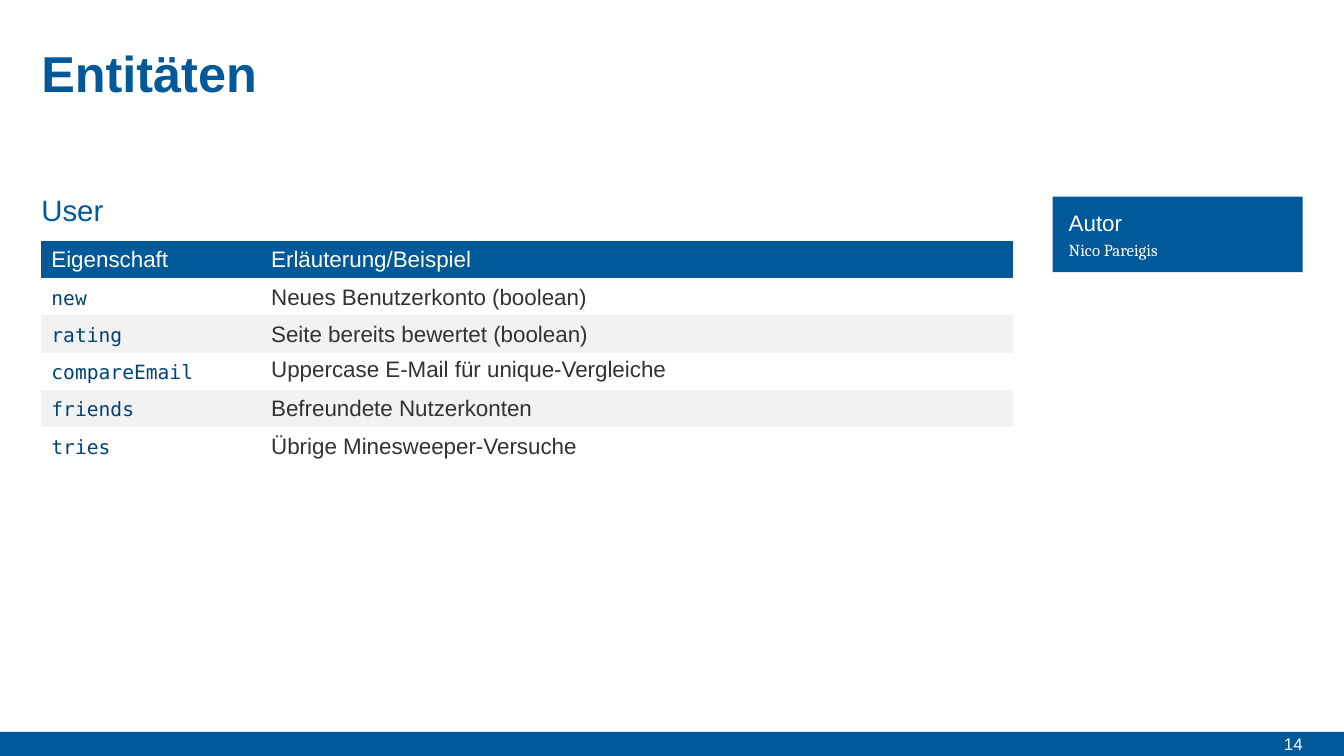
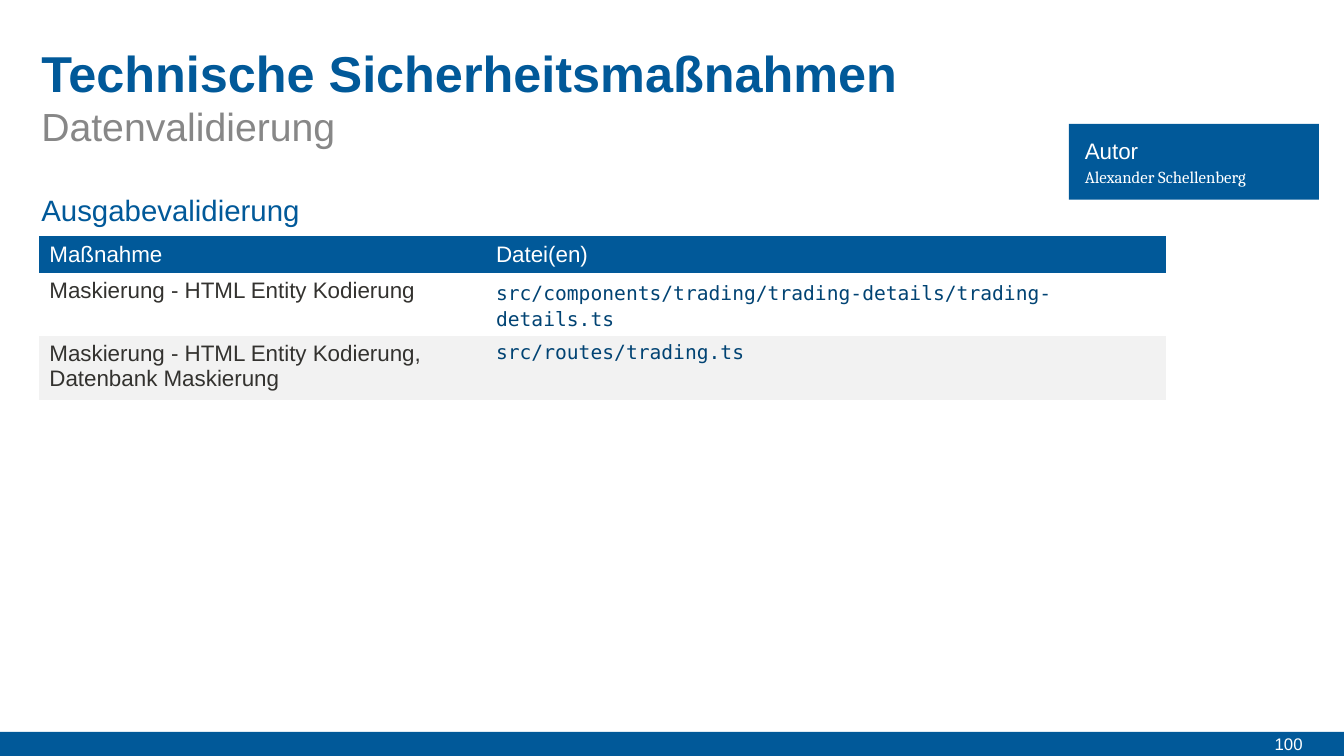
"""Build two slides that document user entities and output validation."""
from dataclasses import dataclass

from pptx import Presentation
from pptx.dml.color import RGBColor
from pptx.enum.shapes import MSO_SHAPE
from pptx.enum.text import MSO_ANCHOR, MSO_AUTO_SIZE, PP_ALIGN
from pptx.oxml.ns import qn
from pptx.util import Inches, Pt


@dataclass(frozen=True)
class Style:
    size: int
    color: str
    font: str = "Arial"
    bold: bool = False
    lead: float | Pt | None = None


@dataclass(frozen=True)
class Theme:
    blue: str = "015999"
    white: str = "FFFFFF"
    stripe: str = "F2F2F2"
    title: Style = Style(36, "015999", bold=True)
    sub: Style = Style(28, "878787", lead=1.1)
    head: Style = Style(21, "015999", lead=Pt(25))
    label: Style = Style(16, "FFFFFF", lead=Pt(19))
    name: Style = Style(12, "FFFFFF", "Cambria", lead=Pt(14))
    page: Style = Style(12, "FFFFFF")
    text: Style = Style(16, "33322F", lead=Pt(19))
    loose: Style = Style(16, "33322F")
    code: Style = Style(14, "014373", "DejaVu Sans Mono", lead=Pt(19))
    free: Style = Style(14, "014373", "DejaVu Sans Mono")


THEME = Theme()
NO_GRID = "{2D5ABB26-0587-4C30-8999-92F81FD0307C}"
LEFT, WIDTH = 0.41, 9.65


def paint(fill, color):
    fill.solid()
    fill.fore_color.rgb = RGBColor.from_string(color)


def write(frame, text, style, align=PP_ALIGN.LEFT):
    frame.text = text
    para = frame.paragraphs[0]
    para.alignment = align
    para.space_before = Pt(0)
    if style.lead:
        para.line_spacing = style.lead
    font = para.font
    font.size, font.name, font.bold = Pt(style.size), style.font, style.bold
    font.color.rgb = RGBColor.from_string(style.color)
    return para


def setup(frame, anchor, fit=MSO_AUTO_SIZE.NONE):
    frame.margin_left = frame.margin_right = 0
    frame.margin_top = frame.margin_bottom = 0
    frame.word_wrap = True
    frame.auto_size = fit
    frame.vertical_anchor = anchor


def add_box(slide, place, color):
    box = slide.shapes.add_shape(MSO_SHAPE.RECTANGLE, *map(Inches, place))
    box.shadow.inherit = False
    paint(box.fill, color)
    box.line.fill.background()


def add_text(slide, place, text, style):
    frame = slide.shapes.add_textbox(*map(Inches, place)).text_frame
    setup(frame, MSO_ANCHOR.TOP, MSO_AUTO_SIZE.SHAPE_TO_FIT_TEXT)
    write(frame, text, style)


def fill_holder(shape, place, text, style):
    shape.left, shape.top, shape.width, shape.height = map(Inches, place)
    setup(shape.text_frame, MSO_ANCHOR.MIDDLE)
    return write(shape.text_frame, text, style)


def add_page(deck, number, title, head, sub=None):
    slide = deck.slides.add_slide(deck.slide_layouts[1 if sub else 5])
    add_box(slide, (0, 7.26, 13.33, 0.24), THEME.blue)
    page = slide.shapes.add_textbox(*map(Inches, (12.18, 7.26, 0.74, 0.24)))
    setup(page.text_frame, MSO_ANCHOR.MIDDLE)
    write(page.text_frame, str(number), THEME.page, PP_ALIGN.RIGHT)
    fill_holder(slide.shapes.title, (LEFT, 0.41, WIDTH, 0.62), title,
                THEME.title)
    if sub:
        para = fill_holder(slide.placeholders[1], (LEFT, 0.95, WIDTH, 0.55),
                           sub, THEME.sub)
        props = para._p.get_or_add_pPr()
        props.set("marL", "0")
        props.set("indent", "0")
        bullet = props.makeelement(qn("a:buNone"), {})
        props.find(qn("a:defRPr")).addprevious(bullet)
    add_text(slide, (LEFT, 1.91, WIDTH, 0.35), head, THEME.head)
    return slide


def add_grid(slide, left, top, widths, heights, heads, styles, rows):
    shape = slide.shapes.add_table(
        len(heights), len(widths),
        *map(Inches, (left, top, sum(widths), sum(heights))))
    table = shape.table
    table._tbl.tblPr.find(qn("a:tableStyleId")).text = NO_GRID
    for col, width in zip(table.columns, widths):
        col.width = Inches(width)
    looks = [(THEME.label,) * len(heads), *styles]
    for i, (height, texts, look) in enumerate(
            zip(heights, [heads, *rows], looks)):
        table.rows[i].height = Inches(height)
        color = (THEME.stripe, THEME.white)[i % 2] if i else THEME.blue
        for j, (text, style) in enumerate(zip(texts, look)):
            cell = table.cell(i, j)
            paint(cell.fill, color)
            write(cell.text_frame, text, style)


def add_author(slide, left, top, name):
    add_box(slide, (left, top, 2.48, 0.75), THEME.blue)
    inner = left + 0.16
    add_text(slide, (inner, top + 0.13, 2.17, 0.27), "Autor", THEME.label)
    add_text(slide, (inner, top + 0.43, 2.17, 0.2), name, THEME.name)


def main():
    deck = Presentation()
    deck.slide_width, deck.slide_height = Inches(13.33), Inches(7.5)

    slide = add_page(deck, 14, "Entitäten", "User")
    pair = (THEME.code, THEME.text)
    add_grid(slide, LEFT, 2.39, (2.18, 7.46), [0.37] * 6,
             ("Eigenschaft", "Erläuterung/Beispiel"),
             [pair, pair, (THEME.code, THEME.loose), pair, pair],
             [("new", "Neues Benutzerkonto (boolean)"),
              ("rating", "Seite bereits bewertet (boolean)"),
              ("compareEmail", "Uppercase E-Mail für unique-Vergleiche"),
              ("friends", "Befreundete Nutzerkonten"),
              ("tries", "Übrige Minesweeper-Versuche")])
    add_author(slide, 10.44, 1.95, "Nico Pareigis")

    slide = add_page(deck, 100, "Technische Sicherheitsmaßnahmen",
                     "Ausgabevalidierung", "Datenvalidierung")
    add_grid(slide, 0.39, 2.34, (4.43, 6.74), (0.37, 0.61, 0.61),
             ("Maßnahme", "Datei(en)"),
             [(THEME.loose, THEME.code), (THEME.loose, THEME.free)],
             [("Maskierung - HTML Entity Kodierung",
               "src/components/trading/trading-details/trading-details.ts"),
              ("Maskierung - HTML Entity Kodierung, Datenbank Maskierung",
               "src/routes/trading.ts")])
    add_author(slide, 10.6, 1.23, "Alexander Schellenberg")

    deck.save("out.pptx")


if __name__ == "__main__":
    main()
